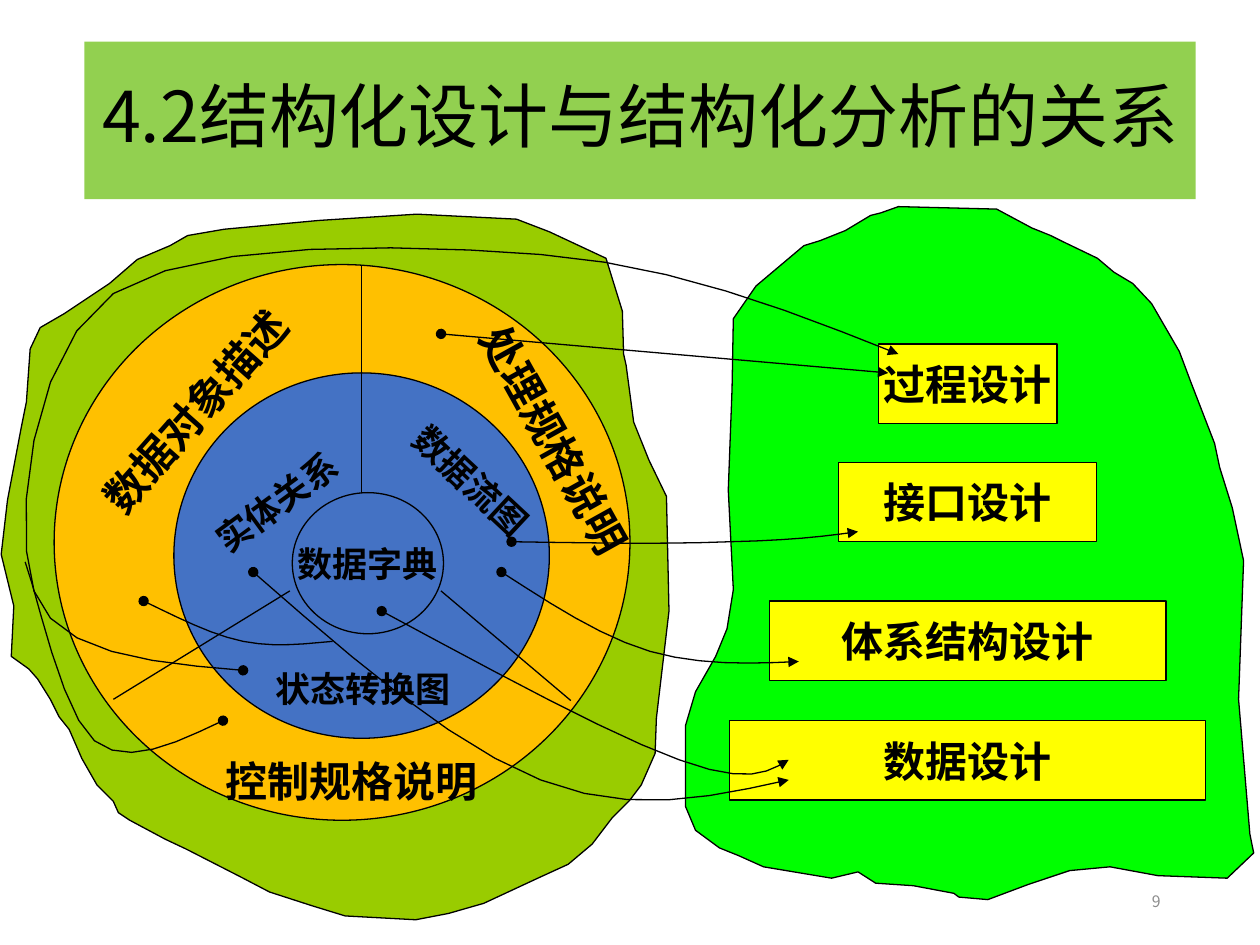
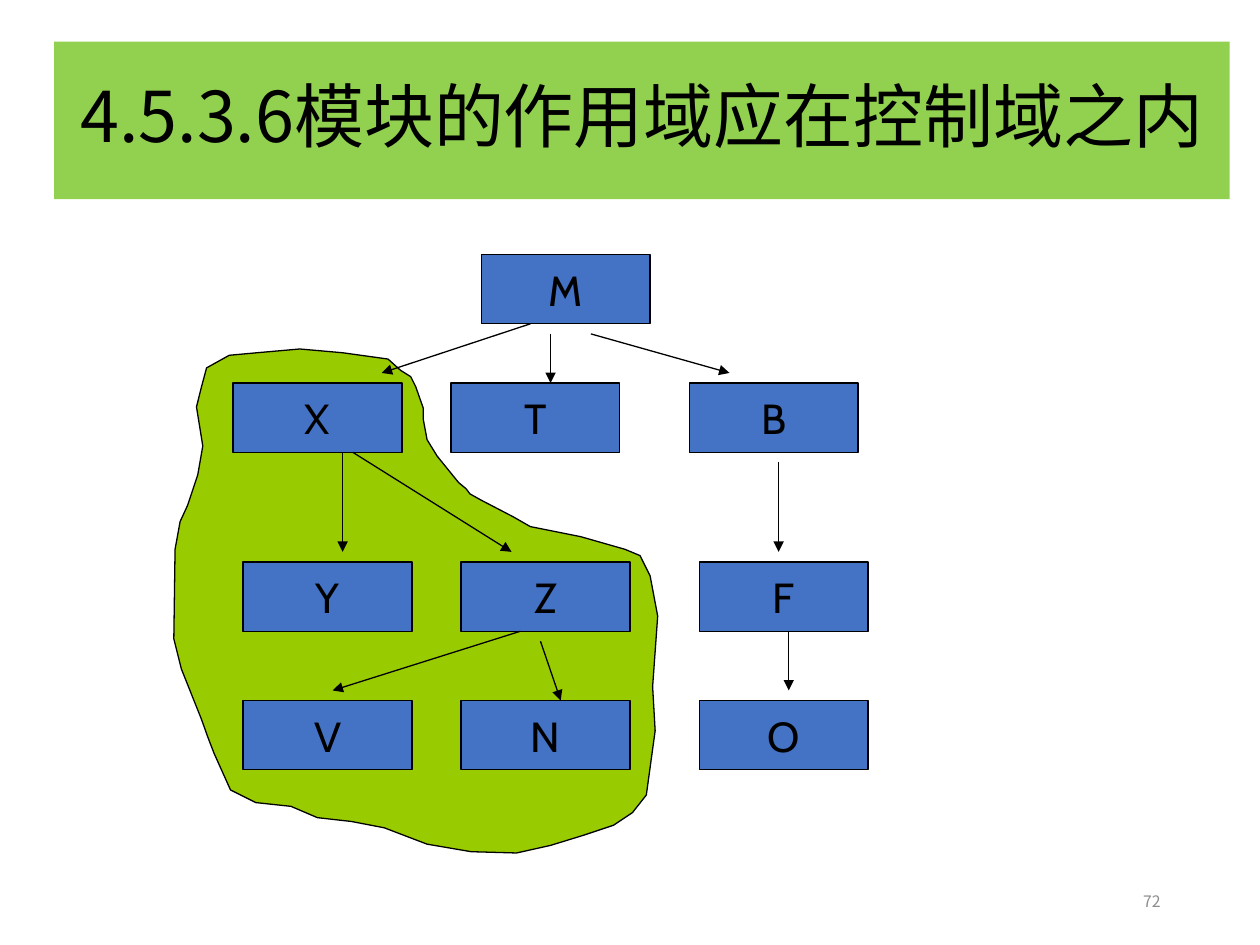
from lxml.etree import SubElement
from pptx import Presentation
from pptx.dml.color import RGBColor
from pptx.enum.shapes import MSO_CONNECTOR as CONN, MSO_SHAPE as SHAPE
from pptx.enum.text import MSO_ANCHOR as ANCHOR, MSO_AUTO_SIZE as FIT, PP_ALIGN as ALIGN
from pptx.oxml.ns import qn
from pptx.util import Pt

PX = 9144
STEPS = 6
TITLE_ONLY = 5

BLACK = RGBColor(0x00, 0x00, 0x00)
GREY = RGBColor(0x8C, 0x8C, 0x8C)
TITLE_GREEN = RGBColor(0x92, 0xD0, 0x50)
OLIVE = RGBColor(0x99, 0xCC, 0x00)
LIME = RGBColor(0x00, 0xFF, 0x00)
ORANGE = RGBColor(0xFF, 0xC0, 0x00)
BLUE = RGBColor(0x44, 0x72, 0xC4)
YELLOW = RGBColor(0xFF, 0xFF, 0x00)
LABEL_FONT = "Cabin"
CJK_FONT = "Noto Sans CJK SC"

ANALYSIS_OUTLINE = [
    (9, 421), (11, 381), (1, 340), (6, 297), (17, 239), (21, 219), (24, 177), (32, 160),
    (51, 149), (87, 125), (109, 106), (135, 95), (149, 87), (178, 82), (253, 75), (331, 70),
    (410, 74), (436, 84), (481, 105), (494, 147), (495, 181), (497, 190), (503, 235),
    (515, 265), (529, 294), (531, 385), (521, 470), (520, 498), (509, 523), (500, 535),
    (486, 549), (470, 570), (451, 586), (427, 597), (384, 617), (356, 625), (330, 630),
    (274, 627), (248, 619), (214, 608), (191, 596), (148, 574), (131, 566),
    (103, 551), (94, 545), (90, 536), (77, 523), (65, 502), (55, 479), (47, 469),
    (40, 455), (30, 439), (23, 431), (16, 426),
]
DESIGN_OUTLINE = [
    (181, 592), (160, 597), (106, 588), (86, 579), (71, 573), (52, 559), (44, 540), (44, 476),
    (52, 449), (68, 421), (77, 399), (82, 368), (78, 289), (81, 209), (82, 153), (100, 127),
    (138, 95), (151, 91), (171, 83), (191, 71), (199, 69), (213, 64), (291, 66), (319, 81),
    (334, 87), (344, 92), (371, 105), (384, 116), (399, 125), (414, 141), (436, 179),
    (445, 203), (452, 221), (464, 252), (468, 271), (478, 303), (487, 345), (483, 455),
    (492, 562), (495, 577), (474, 597), (419, 595), (381, 588), (349, 591), (316, 602),
    (284, 614), (261, 612), (257, 609), (225, 603), (195, 601),
]
SCOPE_OUTLINE = [
    (60, 107), (64, 92), (82, 82), (104, 80), (138, 77), (172, 80), (208, 85), (218, 94),
    (226, 99), (230, 107), (236, 124), (236, 133), (239, 149), (247, 162),
    (264, 183), (270, 188), (273, 192), (282, 197), (307, 210), (321, 218), (361, 226),
    (396, 236), (408, 241), (416, 257), (422, 289), (418, 345), (420, 380),
    (413, 431), (402, 445), (387, 455), (363, 463), (337, 471), (310, 477), (274, 476),
    (239, 470), (205, 457), (179, 452), (152, 449), (131, 440), (103, 437), (83, 427),
    (70, 398), (65, 385), (60, 371), (44, 331), (38, 307), (39, 236), (43, 214), (49, 201),
    (57, 177), (61, 154), (56, 123),
]
MAPPING_CURVES = [
    ("triangle", [(201, 354), (280, 423), (358, 491), (429, 519), (500, 547), (563, 533), (626, 519)]),
    ("triangle", [(303, 385), (394, 434), (486, 484), (539, 503), (593, 523), (610, 513), (626, 503)]),
    ("triangle", [(398, 354), (437, 379), (476, 405), (516, 417), (555, 428), (594, 427), (634, 425)]),
    ("triangle", [(406, 330), (469, 331), (533, 332), (579, 330), (625, 329), (653, 326), (681, 322)]),
    ("triangle", [(193, 432), (119, 426), (44, 419), (27, 369), (10, 320), (23, 178), (90, 133),
                  (157, 89), (326, 94), (429, 102), (533, 110), (623, 145), (713, 181)]),
    (None, [(177, 472), (139, 490), (101, 509), (75, 488), (49, 467), (29, 369), (20, 346)]),
    (None, [(114, 377), (141, 390), (168, 404), (193, 409), (218, 414), (241, 411), (264, 409)]),
]
RING_LABELS = [
    ("实体关系", 20, (153, 273, 144, 44), 323.8),
    ("数据流图", 20, (303, 273, 170, 44), 43),
    ("状态转换图", 20, (209, 425, 181, 44), 0),
    ("控制规格说明", 24, (169, 495, 227, 51), 0),
    ("数据对象描述", 24, (44, 198, 227, 51), 311.4),
    ("处理规格说明", 24, (328, 227, 227, 51), 60.9),
]
DESIGN_LEVELS = [("数据设计", 472, 378), ("体系结构设计", 377, 315),
                 ("接口设计", 267, 205), ("过程设计", 173, 142)]
MODULE_ROWS = [(104, 85, "XTB"), (246, 93, "YZF"), (356, 93, "VNO")]
MODULE_COLUMNS = (0, 173, 362)
CALLS = [
    ((321, 57), (203, 96)), ((337, 65), (337, 104)), ((369, 65), (479, 96)),
    ((172, 159), (172, 238)), ((180, 159), (306, 238)), ((313, 301), (164, 348)),
    ((329, 309), (345, 356)), ((518, 167), (518, 238)), ((526, 301), (526, 348)),
]


def emu(*lengths):
    """Turn px lengths into EMU."""
    return [round(n * PX) for n in lengths]


def inside(box, x, y, *size):
    """Move a place given relative to a box onto the slide."""
    return (box[0] + x, box[1] + y, *size)


def write(sp, text, size, font=LABEL_FONT, color=BLACK, bold=False, align=ALIGN.LEFT,
          anchor=ANCHOR.TOP, wrap=True, fit=FIT.NONE, spacing=None):
    """Put one formatted paragraph into a shape."""
    tf = sp.text_frame
    tf.word_wrap, tf.auto_size, tf.vertical_anchor = wrap, fit, anchor
    p = tf.paragraphs[0]
    p.alignment, p.line_spacing = align, spacing
    r = p.add_run()
    r.text = text
    r.font.size, r.font.name, r.font.bold = Pt(size), font, bold
    r.font.color.rgb = color
    SubElement(r.font._element, qn("a:ea"), typeface=CJK_FONT)


def outline(sp, head=None, tail=None):
    """Give a shape or connector a thin black line with optional ends."""
    sp.line.color.rgb = BLACK
    sp.line.width = Pt(0.75)
    ln = sp._element.spPr.find(qn("a:ln"))
    for tag, kind in (("a:headEnd", head), ("a:tailEnd", tail)):
        if kind:
            SubElement(ln, qn(tag), type=kind)


def add_filled(slide, kind, place, color):
    """Add an outlined preset shape with a solid fill."""
    sp = slide.shapes.add_shape(kind, *emu(*place))
    sp.shadow.inherit = False
    sp.fill.solid()
    sp.fill.fore_color.rgb = color
    outline(sp)
    return sp


def add_node(slide, kind, place, color, text, size=24, bold=True):
    """Add a filled shape with a centred label."""
    sp = add_filled(slide, kind, place, color)
    write(sp, text, size, bold=bold, align=ALIGN.CENTER, anchor=ANCHOR.MIDDLE, wrap=False)


def add_line(slide, box, start, end, **ends):
    """Draw a straight connector between two points of a box."""
    c = slide.shapes.add_connector(CONN.STRAIGHT, *emu(*inside(box, *start), *inside(box, *end)))
    outline(c, **ends)
    SubElement(c._element.spPr, qn("a:effectLst"))


def flatten(chain):
    """Sample a chain of cubic curves as a list of points."""
    samples = [chain[0]]
    for i in range(0, len(chain) - 1, 3):
        for step in range(1, STEPS + 1):
            t = step / STEPS
            u = 1 - t
            weights = (u ** 3, 3 * u * u * t, 3 * u * t * t, t ** 3)
            samples.append(tuple(sum(w * n for w, n in zip(weights, axis))
                                 for axis in zip(*chain[i:i + 4])))
    return samples


def add_freeform(slide, box, corners, fill=None, **ends):
    """Draw a path through points of a box, closed when it has a fill."""
    points = [emu(*inside(box, *corner)) for corner in corners]
    builder = slide.shapes.build_freeform(*points[0], scale=1.0)
    builder.add_line_segments(points[1:], close=fill is not None)
    sp = builder.convert_to_shape()
    sp.shadow.inherit = False
    if fill is None:
        sp.fill.background()
    else:
        sp.fill.solid()
        sp.fill.fore_color.rgb = fill
    outline(sp, **ends)


def add_page(prs, title, band, number):
    """Add a slide with its title band and page number."""
    slide = prs.slides.add_slide(prs.slide_layouts[TITLE_ONLY])
    sp = slide.shapes.title
    sp.left, sp.top, sp.width, sp.height = emu(*band)
    sp.fill.solid()
    sp.fill.fore_color.rgb = TITLE_GREEN
    write(sp, title, 40, font=CJK_FONT, align=ALIGN.CENTER, anchor=ANCHOR.MIDDLE, spacing=0.9)
    footer = slide.shapes.add_textbox(*emu(706, 695, 225, 40))
    write(footer, number, 9, font=CJK_FONT, color=GREY, align=ALIGN.RIGHT, anchor=ANCHOR.MIDDLE)
    return slide


def add_analysis_model(slide, box):
    """Draw the rings of the analysis model on their irregular ground."""
    add_freeform(slide, box, ANALYSIS_OUTLINE, OLIVE)
    add_filled(slide, SHAPE.OVAL, inside(box, 43, 110, 457, 441), ORANGE)
    add_filled(slide, SHAPE.OVAL, inside(box, 138, 196, 298, 290), BLUE)
    add_node(slide, SHAPE.OVAL, inside(box, 232, 291, 120, 112), BLUE, "数据字典", 20)
    for start, end in (((230, 369), (90, 455)), ((350, 369), (453, 456)), ((287, 110), (287, 291))):
        add_line(slide, box, start, end)
    for text, size, place, angle in RING_LABELS:
        label = slide.shapes.add_textbox(*emu(*inside(box, *place)))
        label.rotation = angle
        write(label, text, size, bold=True, fit=FIT.SHAPE_TO_FIT_TEXT)


def add_design_model(slide, box):
    """Stack the centred design levels on their irregular ground."""
    add_freeform(slide, box, DESIGN_OUTLINE, LIME)
    center, height = 268, 63
    for text, top, width in DESIGN_LEVELS:
        place = inside(box, center - width / 2, top, width, height)
        add_node(slide, SHAPE.RECTANGLE, place, YELLOW, text)


def add_mappings(slide, box):
    """Draw the arrows from analysis parts to design levels."""
    for tail, chain in MAPPING_CURVES:
        add_freeform(slide, box, flatten(chain), head="oval", tail=tail)
    add_line(slide, box, (350, 165), (705, 196), head="oval", tail="triangle")


def add_module_tree(slide, box):
    """Draw the module hierarchy over the marked scope."""
    add_freeform(slide, box, SCOPE_OUTLINE, OLIVE)
    modules = [("M", 282, 2)]
    for top, left, names in MODULE_ROWS:
        modules += [(name, left + dx, top) for name, dx in zip(names, MODULE_COLUMNS)]
    for name, x, y in modules:
        add_node(slide, SHAPE.RECTANGLE, inside(box, x, y, 134, 55), BLUE, name, bold=False)
    for start, end in CALLS:
        add_line(slide, box, start, end, tail="triangle")


def main():
    """Build both slides and save the file."""
    prs = Presentation()
    prs.slide_width, prs.slide_height = emu(1000, 750)

    slide = add_page(prs, "4.2结构化设计与结构化分析的关系", (67, 33, 882, 125), "9")
    add_analysis_model(slide, (0, 100))
    add_design_model(slide, (500, 100))
    add_mappings(slide, (0, 100))

    slide = add_page(prs, "4.5.3.6模块的作用域应在控制域之内", (43, 33, 933, 125), "72")
    add_module_tree(slide, (100, 200))
    prs.save("out.pptx")


if __name__ == "__main__":
    main()
